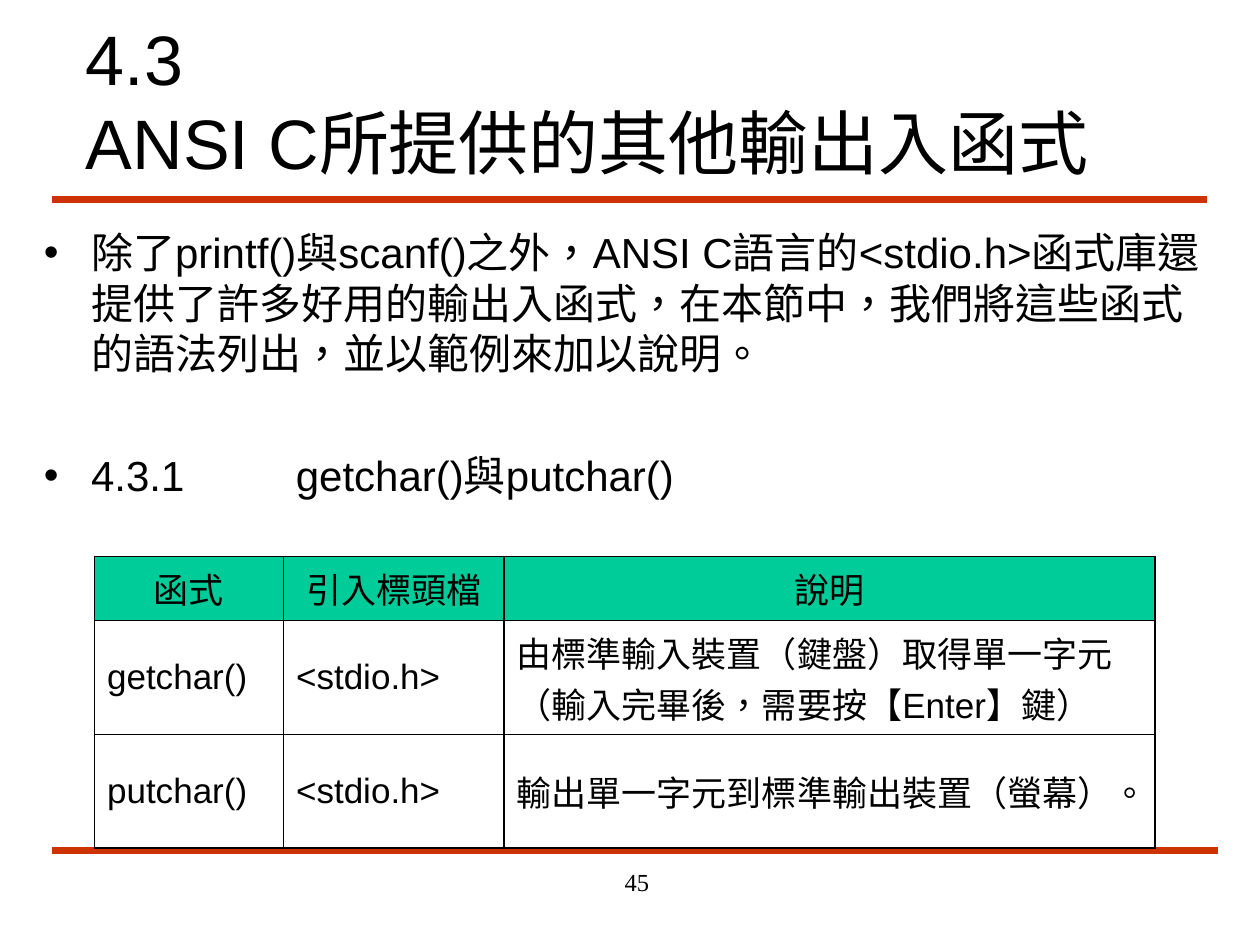
from dataclasses import dataclass

from lxml import etree
from pptx import Presentation
from pptx.dml.color import RGBColor
from pptx.enum import shapes, text
from pptx.oxml import ns
from pptx.util import Pt


@dataclass(frozen=True)
class Theme:
    """Colours, fonts, language and type sizes of the slide."""
    ink: str = "000000"
    rule: str = "CC3300"
    header: str = "00CC99"
    sans: str = "Arial"
    serif: str = "Times New Roman"
    language: str = "zh-TW"
    title: int = 40
    body: int = 24
    cell: int = 20
    number: int = 14


THEME = Theme()
INTRO = ("除了printf()與scanf()之外，ANSI C語言的<stdio.h>函式庫還提供了許多好用的輸出入函式，"
         "在本節中，我們將這些函式的語法列出，並以範例來加以說明。")
FUNCTIONS = [
    ("函式", "引入標頭檔", "說明"),
    ("getchar()", "<stdio.h>", "由標準輸入裝置（鍵盤）取得單一字元（輸入完畢後，需要按【Enter】鍵）"),
    ("putchar()", "<stdio.h>", "輸出單一字元到標準輸出裝置（螢幕）。"),
]


def add_element(parent, tag, **attributes):
    """Append a DrawingML element and return it."""
    return etree.SubElement(parent, ns.qn(tag), attributes)


def style(paragraph, size, family=THEME.sans, align=text.PP_ALIGN.LEFT):
    """Set the font, language and alignment of a paragraph."""
    paragraph.alignment = align
    font = paragraph.font
    font.size, font.name = Pt(size), family
    font.color.rgb = RGBColor.from_string(THEME.ink)
    for run in paragraph.runs:
        run._r.get_or_add_rPr().set("lang", THEME.language)


def add_frame(slide, left, top, width, height):
    """Add a wrapping text box and return its text frame."""
    frame = slide.shapes.add_textbox(Pt(left), Pt(top), Pt(width), Pt(height)).text_frame
    frame.word_wrap = True
    return frame


def add_rule(slide, left, top, width):
    """Draw a thick horizontal rule."""
    rule = slide.shapes.add_connector(
        shapes.MSO_CONNECTOR.STRAIGHT, Pt(left), Pt(top), Pt(left + width), Pt(top))
    rule.line.width = Pt(4.5)
    rule.line.color.rgb = RGBColor.from_string(THEME.rule)
    add_element(rule._element.spPr, "a:effectLst")


def add_title(slide, left, top, width, height):
    """Place the section number and heading."""
    frame = add_frame(slide, left, top, width, height)
    frame.vertical_anchor = text.MSO_ANCHOR.MIDDLE
    heading = frame.paragraphs[0]
    heading.text = "4.3\vANSI C所提供的其他輸出入函式"
    style(heading, THEME.title)


def add_bullet(paragraph, indent=27, tab=144):
    """Give a paragraph a hanging bullet and one tab stop."""
    properties = paragraph._p.get_or_add_pPr()
    properties.set("marL", str(Pt(indent)))
    properties.set("indent", str(Pt(-indent)))
    add_element(add_element(properties, "a:buClr"), "a:srgbClr", val=THEME.ink)
    add_element(properties, "a:buFont", typeface=THEME.sans)
    add_element(properties, "a:buChar", char="•")
    add_element(add_element(properties, "a:tabLst"), "a:tab", pos=str(Pt(tab)), algn="l")


def add_body(slide, left, top, width, height):
    """Place the introduction and the subsection heading."""
    frame = add_frame(slide, left, top, width, height)
    intro, subsection = frame.paragraphs[0], frame.add_paragraph()
    intro.text = INTRO
    subsection.text = "4.3.1\tgetchar()與putchar()"
    for paragraph in (intro, subsection):
        add_bullet(paragraph)
        style(paragraph, THEME.body)
    subsection.space_before = Pt(41)


def add_borders(cell, **widths):
    """Draw the sides of a cell, each with its own width."""
    properties = cell._tc.get_or_add_tcPr()
    for index, (side, width) in enumerate(widths.items()):
        line = etree.Element(ns.qn(f"a:ln{side}"), w=str(Pt(width)))
        add_element(add_element(line, "a:solidFill"), "a:srgbClr", val=THEME.ink)
        properties.insert(index, line)


def add_function_table(slide, left, top, widths, heights, thick=1.08, thin=0.45):
    """Place the table of input and output functions."""
    table = slide.shapes.add_table(
        len(heights), len(widths), Pt(left), Pt(top), Pt(sum(widths)), Pt(sum(heights))).table
    table.horz_banding = table.first_row = False
    for column, width in zip(table.columns, widths):
        column.width = Pt(width)
    last = len(heights) - 1
    for r, (row, height) in enumerate(zip(table.rows, heights)):
        row.height = Pt(height)
        for cell, words in zip(row.cells, FUNCTIONS[r]):
            cell.text = words
            cell.vertical_anchor = text.MSO_ANCHOR.MIDDLE
            style(cell.text_frame.paragraphs[0], THEME.cell,
                  align=text.PP_ALIGN.LEFT if r else text.PP_ALIGN.CENTER)
            if r:
                cell.fill.background()
            else:
                cell.fill.solid()
                cell.fill.fore_color.rgb = RGBColor.from_string(THEME.header)
            add_borders(cell, L=thick, R=thick, T=thin if r else thick,
                        B=thick if r == last else thin)


def add_page_number(slide, left, top, width, height):
    """Place the page number."""
    number = add_frame(slide, left, top, width, height).paragraphs[0]
    number.text = "45"
    style(number, THEME.number, THEME.serif, text.PP_ALIGN.RIGHT)


def main():
    """Build the slide and save it."""
    deck = Presentation()
    deck.slide_width, deck.slide_height = Pt(720), Pt(540)
    slide = deck.slides.add_slide(deck.slide_layouts[6])
    add_rule(slide, 30, 114, 660)
    add_rule(slide, 30, 486, 666)
    add_title(slide, 42, 24, 624, 66)
    add_body(slide, 18, 126, 684, 348)
    add_function_table(slide, 54, 318, (108, 126, 372), (36.5, 65, 65))
    add_page_number(slide, 228, 492, 150, 36)
    deck.save("out.pptx")


if __name__ == "__main__":
    main()
